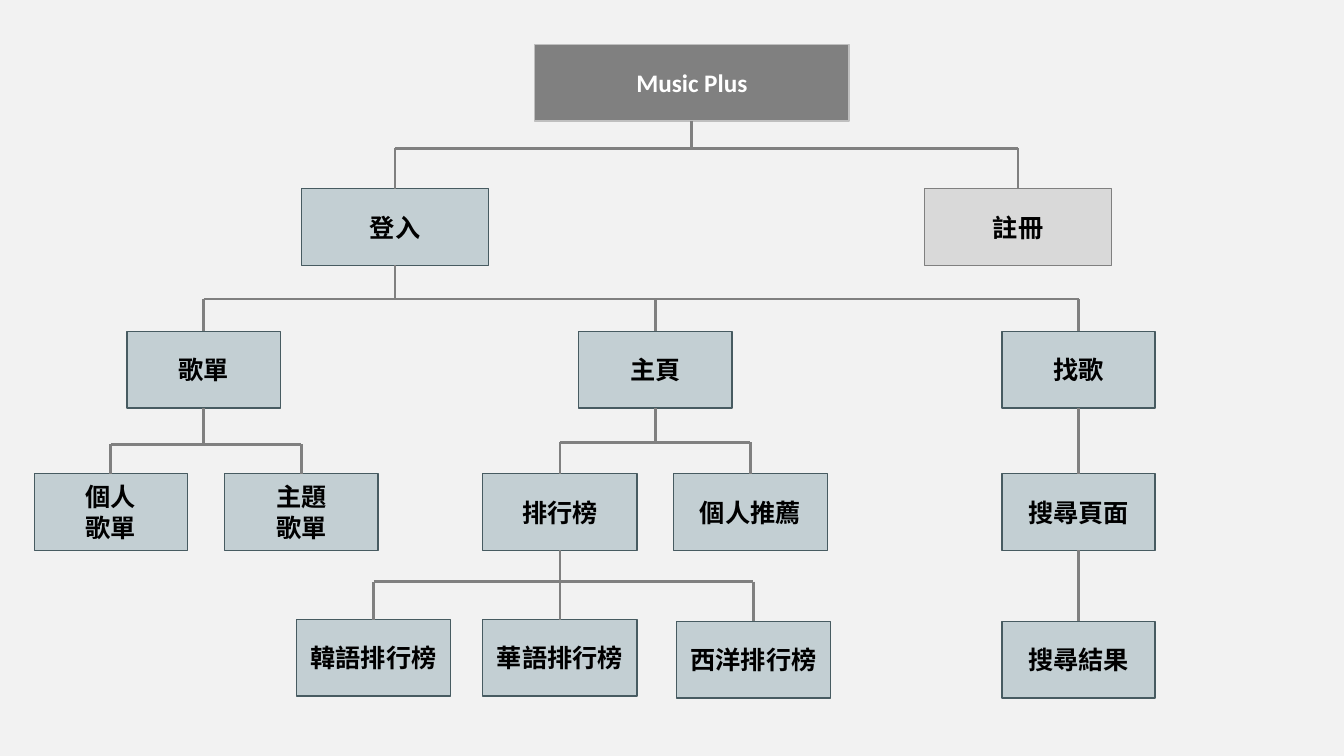
"""Build a site map slide for a music service."""
import pptx
import pptx.util
import pptx.dml.color
import pptx.enum.shapes
import pptx.enum.text
import pptx.oxml.ns
from lxml import etree

Pt = pptx.util.Pt
HUES = {"back": "F2F2F2", "grey": "808080", "rim": "BFBFBF", "pale": "D9D9D9",
        "blue": "C3CFD3", "edge": "475B61", "black": "000000", "white": "FFFFFF"}
HIGH = 54.7


def hue(name):
    return pptx.dml.color.RGBColor.from_string(HUES[name])


def draw(x1, y1, x2, y2):
    line = page.shapes.add_connector(
        pptx.enum.shapes.MSO_CONNECTOR.STRAIGHT, Pt(x1), Pt(y1), Pt(x2), Pt(y2))
    line.line.color.rgb = hue("grey")
    line.line.width = Pt(2)
    props = line._element.find(pptx.oxml.ns.qn("p:spPr"))
    etree.SubElement(props, pptx.oxml.ns.qn("a:effectLst"))
    return line


deck = pptx.Presentation()
deck.slide_width, deck.slide_height = Pt(960), Pt(540)
page = deck.slides.add_slide(deck.slide_layouts[6])
page.background.fill.solid()
page.background.fill.fore_color.rgb = hue("back")

root = ("grey", "rim", "white")
plain = ("pale", "grey", "black")
main = ("blue", "edge", "black")

# key: text, centre, top, width, style
nodes = {
    "root": ("Music Plus", 494.2, 31.7, 224.6, root),
    "login": ("登入", 282.2, 134.8, 133.9, main),
    "join": ("註冊", 727.2, 134.8, 133.9, plain),
    "lists": ("歌單", 145.5, 236.8, 109.5, main),
    "home": ("主頁", 468, 236.8, 109.5, main),
    "find": ("找歌", 770.4, 236.8, 109.5, main),
    "own": ("個人\n歌單", 79.2, 338.4, 109.5, main),
    "theme": ("主題\n歌單", 215.2, 338.4, 109.5, main),
    "charts": ("排行榜", 400, 338.4, 110.2, main),
    "picks": ("個人推薦", 536, 338.4, 110.2, main),
    "search": ("搜尋頁面", 770.4, 338.4, 109.5, main),
    "korea": ("韓語排行榜", 266.8, 442.6, 110.2, main),
    "china": ("華語排行榜", 400, 442.6, 110.2, main),
    "west": ("西洋排行榜", 538.2, 443.8, 110.2, main),
    "found": ("搜尋結果", 770.4, 443.8, 109.5, main),
}
boxes = {}
for key, (text, mid, top, wide, (fill, edge, ink)) in nodes.items():
    box = page.shapes.add_shape(
        pptx.enum.shapes.MSO_SHAPE.RECTANGLE,
        Pt(mid - wide / 2), Pt(top), Pt(wide), Pt(HIGH))
    box.shadow.inherit = False
    box.fill.solid()
    box.fill.fore_color.rgb = hue(fill)
    box.line.color.rgb = hue(edge)
    box.line.width = Pt(1)
    frame = box.text_frame
    frame.word_wrap = True
    frame.vertical_anchor = pptx.enum.text.MSO_ANCHOR.MIDDLE
    frame.text = text
    for para in frame.paragraphs:
        para.alignment = pptx.enum.text.PP_ALIGN.CENTER
        para.font.name = "Calibri"
        para.font.size = Pt(18)
        para.font.bold = True
        para.font.color.rgb = hue(ink)
    boxes[key] = box

forks = [
    ("root", 105.8, ["login", "join"]),
    ("login", 213.6, ["lists", "home", "find"]),
    ("lists", 317.5, ["own", "theme"]),
    ("home", 316, ["charts", "picks"]),
    ("charts", 415.5, ["korea", "china", "west"]),
]
for key, level, kids in forks:
    mid, top = nodes[key][1:3]
    stem = draw(mid, top + HIGH, mid, level)
    stem.begin_connect(boxes[key], 2)
    draw(nodes[kids[0]][1], level, nodes[kids[-1]][1], level)
    for kid in kids:
        spot, head = nodes[kid][1:3]
        drop = draw(spot, level, spot, head)
        drop.end_connect(boxes[kid], 0)

for key, kid in [("find", "search"), ("search", "found")]:
    mid, top = nodes[key][1:3]
    link = draw(mid, top + HIGH, mid, nodes[kid][2])
    link.begin_connect(boxes[key], 2)
    link.end_connect(boxes[kid], 0)

deck.save("out.pptx")
